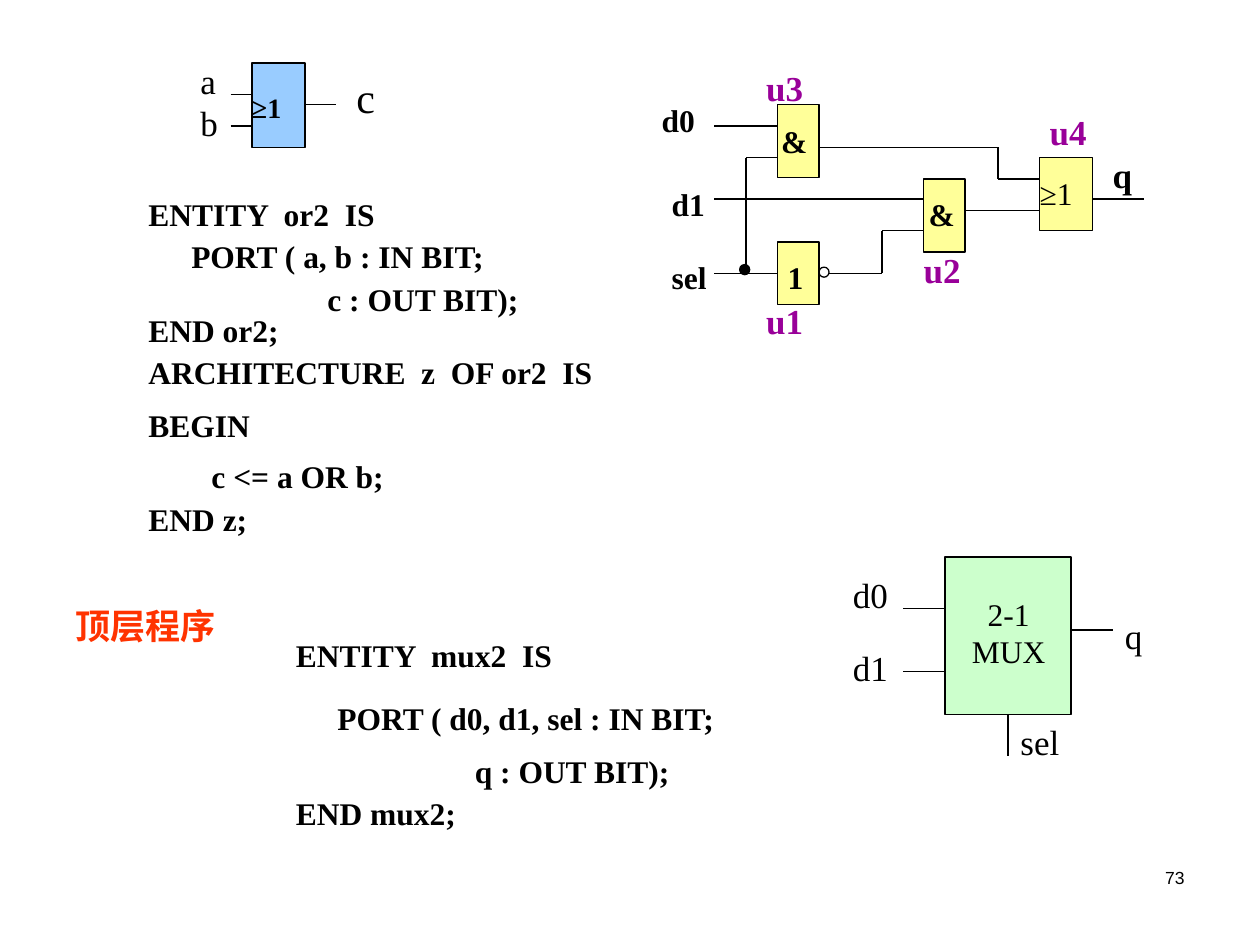
import pptx
import pptx.dml.color
import pptx.enum.shapes
import pptx.enum.text
import pptx.oxml
import pptx.util

Inches = pptx.util.Inches
SHAPES = pptx.enum.shapes.MSO_SHAPE
ALIGN = pptx.enum.text.PP_ALIGN
SERIF = "Times New Roman"
BLACK, PURPLE, RED = "000000", "990099", "FF3300"
BLUE, YELLOW, GREEN = "99CCFF", "FFFF99", "CCFFCC"
LINE_HEIGHTS = {16: 0.37, 18: 0.4, 20: 0.44, 24: 0.5}

CODE = [
    ("ENTITY  or2  IS", 1.08, 1.5, 2.27),
    ("PORT ( a, b : IN BIT;", 1.42, 1.83, 3.5),
    ("c : OUT BIT);", 2.5, 2.17, 1.75),
    ("END or2;", 1.08, 2.42, 2.27),
    ("ARCHITECTURE  z  OF or2  IS", 1.08, 2.75, 4),
    ("BEGIN", 1.08, 3.17, 1.75),
    ("c <= a OR b;", 1.58, 3.58, 1.92),
    ("END z;", 1.08, 3.92, 1.42),
    ("ENTITY  mux2  IS", 2.25, 5, 2.83),
    ("PORT ( d0, d1, sel : IN BIT;", 2.58, 5.5, 3.5),
    ("q : OUT BIT);", 3.67, 5.92, 2.92),
    ("END mux2;", 2.25, 6.25, 2.27),
]

OR_GATE = {
    "boxes": [(2, 0.5, 0.42, 0.67, BLUE)],
    "dots": [],
    "wires": [(2.42, 0.83, 2.67, 0.83), (1.83, 0.75, 2, 0.75), (1.83, 1, 2, 1)],
    "labels": [
        ("≥1", 2, 0.67, 0.43, {"size": 16, "bold": True, "inset": 0}),
        ("a\nb", 1.58, 0.42, 0.17, {"size": 20, "inset": 0.01}),
        ("c", 2.73, 0.52, 0.35, {"size": 24}),
    ],
}

PIN = {"bold": True, "inset": 0}
UNIT = {"size": 20, "bold": True, "inset": 0, "color": PURPLE}
CIRCUIT = {
    "boxes": [
        (6.17, 0.83, 0.33, 0.58, YELLOW),
        (7.33, 1.42, 0.33, 0.58, YELLOW),
        (6.17, 1.92, 0.33, 0.5, YELLOW),
        (8.25, 1.25, 0.42, 0.58, YELLOW),
    ],
    "dots": [(6.5, 2.12, None), (5.87, 2.1, BLACK)],
    "wires": [
        (5.67, 1, 6.17, 1),
        (5.67, 1.58, 7.33, 1.58),
        (5.67, 2.17, 6.17, 2.17),
        (5.92, 1.25, 6.17, 1.25),
        (5.92, 1.25, 5.92, 2.17),
        (6.58, 2.17, 7, 2.17),
        (7, 1.83, 7.33, 1.83),
        (7, 1.83, 7, 2.17),
        (7.67, 1.67, 8.25, 1.67),
        (6.5, 1.17, 7.92, 1.17),
        (7.92, 1.42, 8.25, 1.42),
        (7.92, 1.17, 7.92, 1.42),
        (8.67, 1.58, 9.08, 1.58),
    ],
    "labels": [
        ("&", 6.2, 0.92, 0.27, PIN),
        ("&", 7.37, 1.5, 0.27, PIN),
        ("1", 6.25, 2, 0.18, PIN),
        ("≥1", 8.25, 1.33, 0.42, {"inset": 0}),
        ("d0", 5.25, 0.75, 0.42, PIN),
        ("d1", 5.33, 1.42, 0.42, PIN),
        ("sel", 5.33, 2, 0.42, PIN),
        ("q", 8.83, 1.17, 0.27, {"size": 20, **PIN}),
        ("u1", 6.08, 2.33, 0.42, UNIT),
        ("u2", 7.33, 1.92, 0.42, UNIT),
        ("u3", 6.08, 0.48, 0.42, UNIT),
        ("u4", 8.33, 0.83, 0.42, UNIT),
    ],
}

MUX_PIN = {"size": 20}
MUX = {
    "boxes": [(7.5, 4.42, 1, 1.25, GREEN)],
    "dots": [],
    "wires": [(8.5, 5, 8.83, 5), (7.17, 4.83, 7.5, 4.83),
              (7.17, 5.33, 7.5, 5.33), (8, 5.67, 8, 6)],
    "labels": [
        ("2-1\nMUX", 7.58, 4.67, 0.85, {"align": ALIGN.CENTER}),
        ("d0", 6.67, 4.5, 0.52, MUX_PIN),
        ("d1", 6.67, 5.08, 0.52, MUX_PIN),
        ("q", 8.83, 4.83, 0.33, MUX_PIN),
        ("sel", 8, 5.67, 0.52, MUX_PIN),
    ],
}


def rgb(value):
    return pptx.dml.color.RGBColor.from_string(value)


def set_line(line):
    line.color.rgb = rgb(BLACK)
    line.width = pptx.util.Pt(0.75)


def add_text(shapes, text, left, top, width, size=18, bold=False, color=BLACK,
             inset=0.1, align=ALIGN.LEFT, font=SERIF):
    lines = text.count("\n") + 1
    height = 0.1 + lines * (LINE_HEIGHTS.get(size, 0.5) - 0.1)
    box = shapes.add_textbox(*map(Inches, (left, top, width, height)))
    frame = box.text_frame
    frame.word_wrap = True
    frame.margin_left = frame.margin_right = Inches(inset)
    frame.text = text
    for paragraph in frame.paragraphs:
        paragraph.alignment = align
        for run in paragraph.runs:
            run.font.name = font
            run.font.size = pptx.util.Pt(size)
            run.font.bold = bold
            run.font.color.rgb = rgb(color)


def add_outlined(shapes, kind, left, top, width, height, fill):
    shape = shapes.add_shape(kind, *map(Inches, (left, top, width, height)))
    shape.shadow.inherit = False
    if fill:
        shape.fill.solid()
        shape.fill.fore_color.rgb = rgb(fill)
    else:
        shape.fill.background()
    set_line(shape.line)


def add_wire(shapes, *ends):
    wire = shapes.add_connector(pptx.enum.shapes.MSO_CONNECTOR.STRAIGHT, *map(Inches, ends))
    set_line(wire.line)
    properties = wire._element.spPr
    properties.append(pptx.oxml.parse_xml(
        '<a:effectLst xmlns:a="http://schemas.openxmlformats.org/drawingml/2006/main"/>'))


def add_diagram(slide, diagram):
    shapes = slide.shapes.add_group_shape().shapes
    for left, top, width, height, fill in diagram["boxes"]:
        add_outlined(shapes, SHAPES.RECTANGLE, left, top, width, height, fill)
    for wire in diagram["wires"]:
        add_wire(shapes, *wire)
    for left, top, fill in diagram["dots"]:
        add_outlined(shapes, SHAPES.OVAL, left, top, 0.08, 0.08, fill)
    for text, left, top, width, style in diagram["labels"]:
        add_text(shapes, text, left, top, width, **style)


def main():
    presentation = pptx.Presentation()
    presentation.slide_width, presentation.slide_height = Inches(10), Inches(7.5)
    slide = presentation.slides.add_slide(presentation.slide_layouts[6])
    for statement in CODE:
        add_text(slide.shapes, *statement, bold=True)
    for diagram in (OR_GATE, CIRCUIT, MUX):
        add_diagram(slide, diagram)
    add_text(slide.shapes, "顶层程序", 0.5, 4.75, 1.77, size=20, bold=True, color=RED)
    add_text(slide.shapes, "73", 7.17, 6.83, 2.33, size=10, align=ALIGN.RIGHT, font="Arial")
    presentation.save("out.pptx")


if __name__ == "__main__":
    main()
